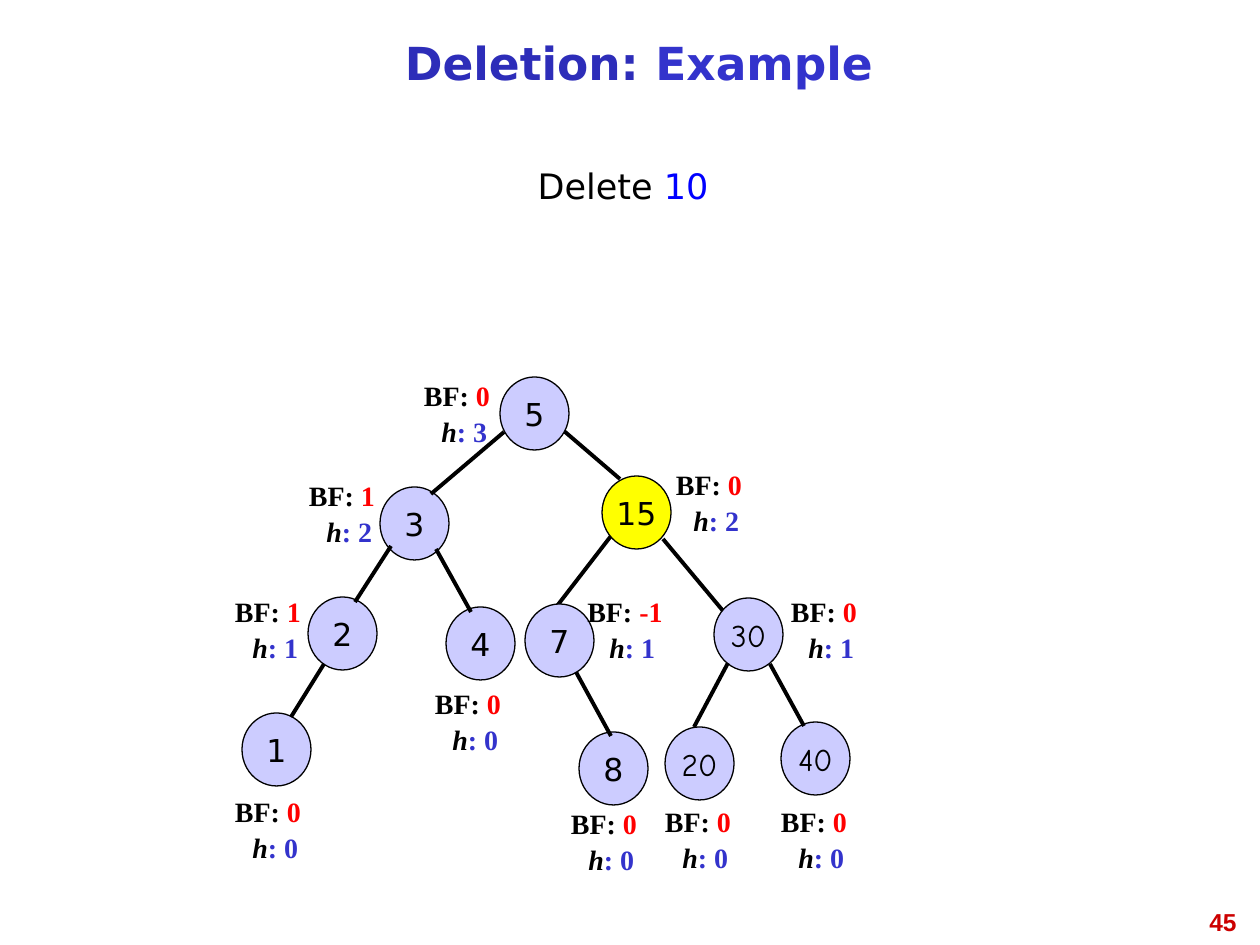
from dataclasses import dataclass
from typing import NamedTuple

import pptx
import pptx.dml.color
import pptx.enum.shapes
import pptx.enum.text
import pptx.util
from lxml import etree

SCALE = 914400 / 126  # EMU in one px
ALIGN = pptx.enum.text.PP_ALIGN
ANCHOR = pptx.enum.text.MSO_ANCHOR


@dataclass(frozen=True)
class Theme:
    ink: str = "000000"
    node: str = "CCCCFF"
    mark: str = "FFFF00"
    navy: str = "2D2DB9"
    blue: str = "3333CC"
    key: str = "0000FF"
    red: str = "FF0000"
    page: str = "CC0000"
    sans: str = "DejaVu Sans"
    hand: str = "Comic Neue"
    serif: str = "Times New Roman"
    plain: str = "Arial"
    title: int = 26
    lead: int = 20
    value: int = 18
    label: int = 16
    foot: int = 14
    thin: float = 0.75
    thick: float = 2.25


THEME = Theme()


class Box(NamedTuple):
    x: int
    y: int
    w: int
    h: int


class Run(NamedTuple):
    text: str
    color: str
    style: dict


class Node(NamedTuple):
    value: str
    x: int
    y: int
    factor: int
    height: int
    left: int  # corner of the label
    top: int
    face: str = THEME.sans
    fill: str = THEME.node


class Edge(NamedTuple):
    x1: int
    y1: int
    x2: int
    y2: int


NODES = [
    Node("5", 500, 377, 0, 3, 399, 372),
    Node("3", 380, 487, 1, 2, 284, 472),
    Node("2", 308, 597, 1, 1, 210, 588),
    Node("4", 446, 607, 0, 0, 410, 680),
    Node("1", 242, 713, 0, 0, 210, 788),
    Node("7", 525, 604, -1, 1, 567, 588),
    Node("8", 579, 732, 0, 0, 546, 800),
    Node("20", 665, 727, 0, 0, 640, 798, THEME.hand),
    Node("30", 714, 598, 0, 1, 766, 588, THEME.hand),
    Node("15", 602, 476, 0, 2, 651, 461, fill=THEME.mark),
    Node("40", 781, 722, 0, 0, 756, 798, THEME.hand),
]

# Edges behind the nodes, then edges in front
BACK = [
    Edge(611, 536, 557, 606),
    Edge(663, 539, 724, 612),
    Edge(564, 431, 620, 479),
]
FRONT = [
    Edge(504, 432, 431, 494),
    Edge(391, 546, 355, 602),
    Edge(576, 672, 611, 736),
    Edge(436, 549, 471, 612),
    Edge(324, 664, 291, 717),
    Edge(770, 664, 804, 726),
    Edge(728, 663, 694, 727),
]


def emu(*sides: int) -> list[int]:
    return [round(side * SCALE) for side in sides]


def tint(code: str) -> pptx.dml.color.RGBColor:
    return pptx.dml.color.RGBColor.from_string(code)


def font(name: str, size: int, **more: bool) -> dict:
    return {"name": name, "size": pptx.util.Pt(size), **more}


def write(shape, runs: list[Run], align, anchor=ANCHOR.TOP, wrap=True):
    """Fill the first paragraph of a shape with styled runs."""
    frame = shape.text_frame
    frame.word_wrap = wrap
    frame.vertical_anchor = anchor
    para = frame.paragraphs[0]
    para.alignment = align
    for item in runs:
        run = para.add_run()
        run.text = item.text
        for name, value in item.style.items():
            setattr(run.font, name, value)
        run.font.color.rgb = tint(item.color)
    return para


def add_text(slide, box: Box, runs: list[Run], align, anchor=ANCHOR.TOP):
    return write(slide.shapes.add_textbox(*emu(*box)), runs, align, anchor)


def add_edge(slide, edge: Edge) -> None:
    line = slide.shapes.add_connector(
        pptx.enum.shapes.MSO_CONNECTOR.STRAIGHT, *emu(*edge))
    line.line.color.rgb = tint(THEME.ink)
    line.line.width = pptx.util.Pt(THEME.thick)
    props = line.element.spPr
    etree.SubElement(props, pptx.oxml.ns.qn("a:effectLst"))


def add_node(slide, node: Node) -> None:
    shape = slide.shapes.add_shape(
        pptx.enum.shapes.MSO_SHAPE.OVAL, *emu(node.x, node.y, 69, 73))
    shape.shadow.inherit = False
    shape.fill.solid()
    shape.fill.fore_color.rgb = tint(node.fill)
    shape.line.color.rgb = tint(THEME.ink)
    shape.line.width = pptx.util.Pt(THEME.thin)
    style = font(node.face, THEME.value)
    write(shape, [Run(node.value, THEME.ink, style)],
          ALIGN.CENTER, ANCHOR.MIDDLE, wrap=False)


def add_label(slide, node: Node) -> None:
    """Balance factor, with the height below it."""
    bold = font(THEME.serif, THEME.label, bold=True)
    add_text(slide, Box(node.left + 30, node.top + 36, 73, 47),
             [Run("h", THEME.ink, {**bold, "italic": True}),
              Run(f": {node.height}", THEME.blue, bold)], ALIGN.LEFT)
    add_text(slide, Box(node.left, node.top, 116, 47),
             [Run("BF: ", THEME.ink, bold),
              Run(str(node.factor), THEME.red, bold)], ALIGN.CENTER)


def main() -> None:
    deck = pptx.Presentation()
    deck.slide_width, deck.slide_height = emu(1260, 945)
    slide = deck.slides.add_slide(deck.slide_layouts[6])

    # Page number, title and task
    style = font(THEME.plain, THEME.foot, bold=True)
    add_text(slide, Box(955, 901, 294, 66),
             [Run("45", THEME.page, style)], ALIGN.RIGHT)
    style = font(THEME.sans, THEME.title, bold=True)
    title = add_text(slide, Box(38, 19, 1202, 96),
                     [Run("Deletion: ", THEME.navy, style),
                      Run("Example", THEME.blue, style)],
                     ALIGN.CENTER, ANCHOR.MIDDLE)
    title.line_spacing = 0.81
    style = font(THEME.sans, THEME.lead)
    add_text(slide, Box(438, 158, 370, 55),
             [Run("Delete ", THEME.ink, style),
              Run("10", THEME.key, style)], ALIGN.CENTER)

    # Tree
    for edge in BACK:
        add_edge(slide, edge)
    for node in NODES:
        add_node(slide, node)
    for edge in FRONT:
        add_edge(slide, edge)
    for node in NODES:
        add_label(slide, node)

    deck.save("out.pptx")


if __name__ == "__main__":
    main()
